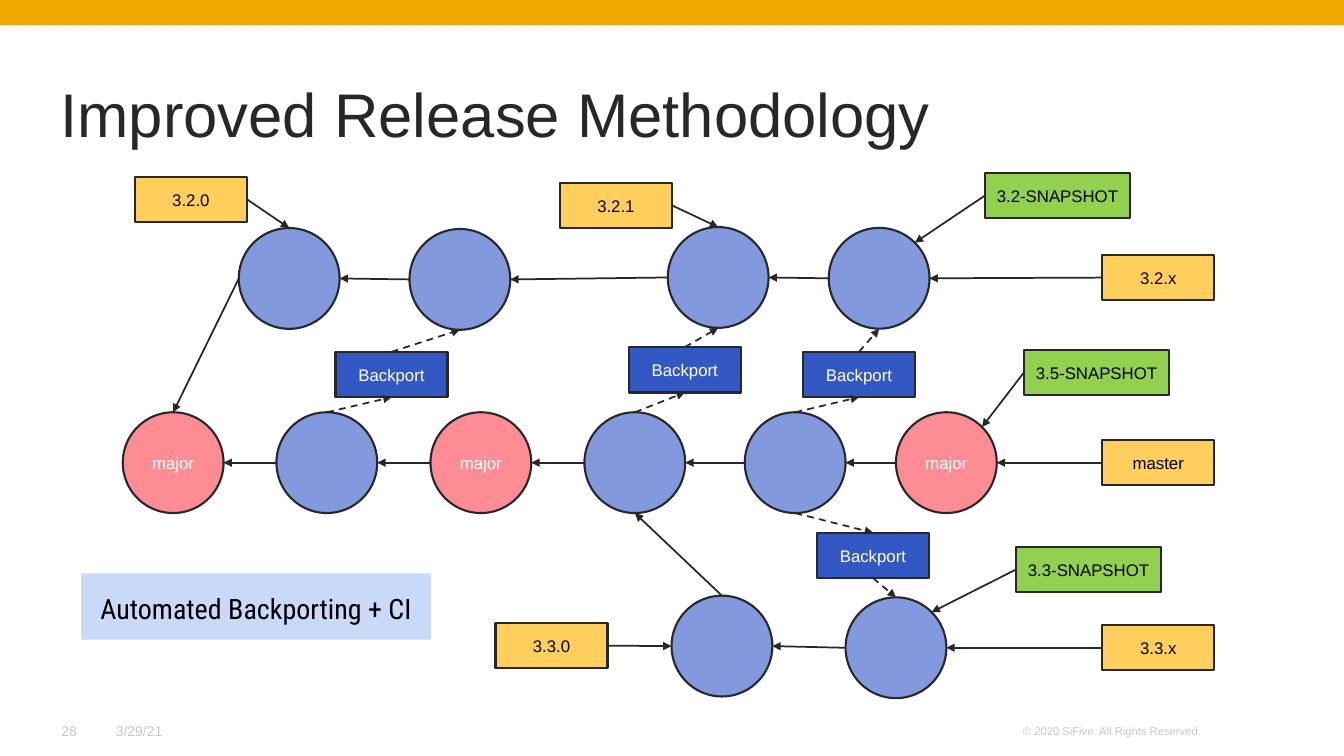
from math import sqrt

from lxml.etree import SubElement
from pptx import Presentation
from pptx.dml.color import RGBColor
from pptx.enum.dml import MSO_LINE
from pptx.enum.shapes import MSO_CONNECTOR, MSO_SHAPE
from pptx.enum.text import MSO_ANCHOR as Anchor, MSO_AUTO_SIZE, PP_ALIGN as Align
from pptx.oxml.ns import qn
from pptx.util import Pt

INK = RGBColor(0x28, 0x28, 0x28)
BLACK = RGBColor(0x00, 0x00, 0x00)
WHITE = RGBColor(0xFF, 0xFF, 0xFF)
AMBER = RGBColor(0xF0, 0xA8, 0x00)
YELLOW = RGBColor(0xFF, 0xCE, 0x5D)
GREEN = RGBColor(0x92, 0xD0, 0x50)
PINK = RGBColor(0xFD, 0x8C, 0x95)
PERIWINKLE = RGBColor(0x82, 0x99, 0xDE)
BLUE = RGBColor(0x34, 0x58, 0xC3)
PALE_BLUE = RGBColor(0xC9, 0xDA, 0xF8)

# Connection sites as fractions of half the width and height
TOP, BOTTOM, LEFT, RIGHT = (0, -1), (0, 1), (-1, 0), (1, 0)
TOP_RIGHT = (sqrt(0.5), -sqrt(0.5))


class Slide:
    font = "Arial"
    commit_size = 72
    label_width, snapshot_width, label_height = 80, 103.7, 32.4

    def __init__(self, deck):
        self.page = deck.slides.add_slide(deck.slide_layouts[5])

    def set_text(self, frame, text, size, color, align=Align.LEFT, font=None):
        para = frame.paragraphs[0]
        para.text = text
        para.alignment = align
        para.font.name = font or self.font
        para.font.size = Pt(size)
        para.font.color.rgb = color
        return para

    def title(self, text, left, top, width, height):
        box = self.page.shapes.title
        box.left, box.top, box.width, box.height = map(Pt, (left, top, width, height))
        frame = box.text_frame
        frame.auto_size = MSO_AUTO_SIZE.NONE
        frame.vertical_anchor = Anchor.MIDDLE
        self.set_text(frame, text, 44, INK).line_spacing = 0.9

    def footer(self, text, size, left, top, width, height, align=Align.LEFT, margin=7.2):
        box = self.page.shapes.add_textbox(*map(Pt, (left, top, width, height)))
        frame = box.text_frame
        frame.word_wrap = True
        frame.vertical_anchor = Anchor.MIDDLE
        frame.margin_right = Pt(margin)
        self.set_text(frame, text, size, INK, align)
        # Quarter-strength ink
        for color in box.element.iter(qn("a:srgbClr")):
            SubElement(color, qn("a:alpha"), val="25000")

    def shape(self, kind, left, top, width, height, fill, outlined=True):
        shape = self.page.shapes.add_shape(kind, *map(Pt, (left, top, width, height)))
        shape.shadow.inherit = False
        shape.fill.solid()
        shape.fill.fore_color.rgb = fill
        if outlined:
            shape.line.color.rgb = INK
            shape.line.width = Pt(1.5)
        else:
            shape.line.fill.background()
        return shape

    def node(self, kind, x, y, width, height, fill, text, color):
        shape = self.shape(kind, x - width / 2, y - height / 2, width, height, fill)
        if text:
            frame = shape.text_frame
            frame.word_wrap = True
            frame.margin_left = frame.margin_right = Pt(3.6)
            frame.vertical_anchor = Anchor.MIDDLE
            self.set_text(frame, text, 12, color, Align.CENTER)
        return shape

    def commit(self, x, y, text=""):
        size = self.commit_size
        fill = PINK if text else PERIWINKLE
        return self.node(MSO_SHAPE.OVAL, x, y, size, size, fill, text, WHITE)

    def label(self, x, y, text, fill=YELLOW, color=BLACK, width=label_width):
        return self.node(MSO_SHAPE.RECTANGLE, x, y, width, self.label_height, fill, text, color)

    def snapshot(self, x, y, version):
        return self.label(x, y, f"{version}-SNAPSHOT", GREEN, width=self.snapshot_width)

    def callout(self, text, left, top, width, height):
        shape = self.shape(MSO_SHAPE.RECTANGLE, left, top, width, height, PALE_BLUE, False)
        frame = shape.text_frame
        frame.word_wrap = True
        frame.vertical_anchor = Anchor.TOP
        frame.margin_left = frame.margin_right = 0
        frame.margin_top = frame.margin_bottom = Pt(9.36)
        para = self.set_text(frame, text, 20, BLACK, Align.CENTER, "Roboto Condensed")
        para.line_spacing = 1.15

    def arrow(self, source, source_side, target, target_side, dashed=False):
        ends = []
        for shape, (across, down) in ((source, source_side), (target, target_side)):
            ends.append(int(shape.left + shape.width * (1 + across) / 2))
            ends.append(int(shape.top + shape.height * (1 + down) / 2))
        connector = self.page.shapes.add_connector(MSO_CONNECTOR.STRAIGHT, *ends)
        connector.line.color.rgb = INK
        connector.line.width = Pt(1.25)
        if dashed:
            connector.line.dash_style = MSO_LINE.DASH
        properties = connector.element.spPr
        SubElement(properties.find(qn("a:ln")), qn("a:tailEnd"), type="triangle")
        SubElement(properties, qn("a:effectLst"))

    def chain(self, nodes):
        for older, newer in zip(nodes, nodes[1:]):
            self.arrow(newer, LEFT, older, RIGHT)

    def backport(self, x, y, source, target, upward=True):
        start, end = (TOP, BOTTOM) if upward else (BOTTOM, TOP)
        box = self.label(x, y, "Backport", BLUE, WHITE)
        self.arrow(source, start, box, end, dashed=True)
        self.arrow(box, start, target, end, dashed=True)


def main():
    deck = Presentation()
    deck.slide_width, deck.slide_height = Pt(960), Pt(540)
    slide = Slide(deck)

    # Header and footer
    slide.shape(MSO_SHAPE.RECTANGLE, 0, 0, 960, 18, AMBER, outlined=False)
    slide.title("Improved Release Methodology", 36, 36, 888, 96)
    slide.footer("28", 10, 36.7, 504, 36, 36)
    slide.footer("3/29/21", 10, 75.6, 504, 54, 36)
    slide.footer("© 2020 SiFive. All Rights Reserved.", 8, 638, 513.4, 234, 17.3,
                 Align.RIGHT, margin=13.9)

    # Commits on each branch
    master_row = [slide.commit(x, 330.5, text) for x, text in (
        (123.7, "major"), (233.5, ""), (343.5, "major"),
        (453.5, ""), (568, ""), (676, "major"))]
    upper_row = [slide.commit(x, y) for x, y in (
        (206.6, 198.9), (328.5, 199.6), (513, 198.2), (628, 198.8))]
    lower_row = [slide.commit(x, y) for x, y in ((515.7, 461.5), (640, 462.7))]

    # Branch heads and history
    rows = (upper_row, master_row, lower_row)
    for row, y, name in zip(rows, (198.3, 330.5, 462.7), ("3.2.x", "master", "3.3.x")):
        slide.chain(row + [slide.label(827.4, y, name)])
    slide.arrow(upper_row[0], LEFT, master_row[0], TOP)
    slide.arrow(lower_row[0], TOP, master_row[3], BOTTOM)

    # Release tags
    for x, y, name, commit, side in (
            (136.4, 142.4, "3.2.0", upper_row[0], TOP),
            (440, 146.7, "3.2.1", upper_row[2], TOP),
            (394, 461.2, "3.3.0", lower_row[0], LEFT)):
        slide.arrow(slide.label(x, y, name), RIGHT, commit, side)

    # Snapshots
    for x, y, version, row in zip(
            (755.4, 783.3, 777.6), (139.7, 266, 406.8), ("3.2", "3.5", "3.3"), rows):
        slide.arrow(slide.snapshot(x, y, version), LEFT, row[-1], TOP_RIGHT)

    # Backports
    slide.backport(279.7, 267.5, master_row[1], upper_row[1])
    slide.backport(489.2, 264.2, master_row[3], upper_row[2])
    slide.backport(613.6, 267.5, master_row[4], upper_row[3])
    slide.backport(623.6, 396.7, master_row[4], lower_row[1], upward=False)

    # Takeaway
    slide.callout("Automated Backporting + CI", 58, 409.5, 249.8, 47.5)

    deck.save("out.pptx")


if __name__ == "__main__":
    main()
